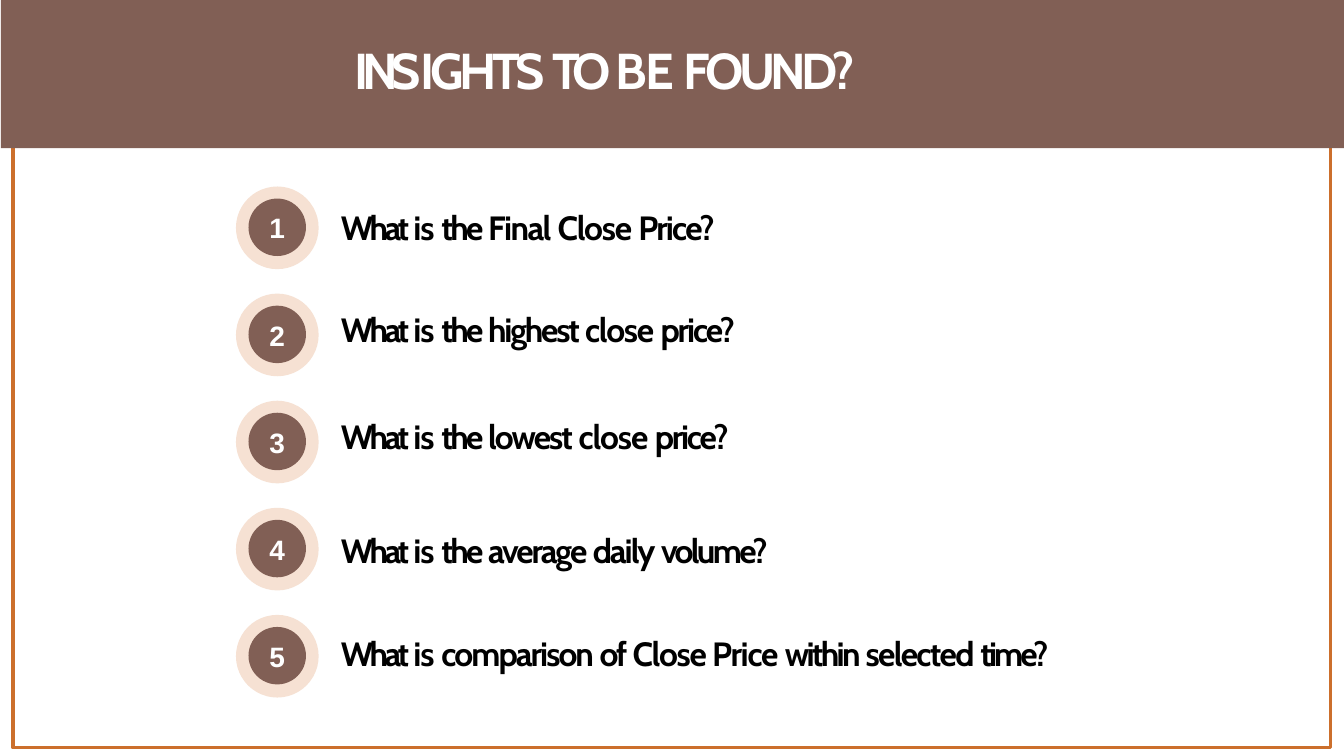
"""Build the slide that lists the five insights to be found."""
from pptx import Presentation
from pptx.dml.color import RGBColor
from pptx.enum.shapes import MSO_SHAPE as SHAPE
from pptx.enum.text import MSO_ANCHOR as ANCHOR, MSO_AUTO_SIZE as FIT, PP_ALIGN as ALIGN
from pptx.util import Inches, Pt
from lxml.etree import SubElement

THEME = {
    "brown": RGBColor.from_string("815F55"),
    "peach": RGBColor.from_string("F6E1D3"),
    "orange": RGBColor.from_string("CC6F2C"),
    "title": {"name": "Cabin", "size": Pt(36), "bold": True, "color": RGBColor(255, 255, 255)},
    "question": {"name": "Cabin", "size": Pt(24), "bold": True, "color": RGBColor(0, 0, 0)},
    "number": {"name": "Arial", "size": Pt(20), "bold": True, "color": RGBColor(255, 255, 255)},
}
FRAME_FORMAT = {"margin_left": 0, "margin_right": 0, "margin_top": Inches(0.01),
                "margin_bottom": 0, "word_wrap": True, "auto_size": FIT.NONE}

TITLE = [("INS", -4.9), ("IGHTS ", -3.1), ("TO ", -4.9), ("BE ", -1.1), ("FOUND?", -3.3)]
WHAT_IS = [("What ", -2.5), ("is ", -0.6)]
WHAT_IS_THE = WHAT_IS + [("the ", -1.95)]
QUESTIONS = [
    (1, WHAT_IS_THE + [("Final ", -1.1), ("Close ", -0.9), ("Price?", -1.3)]),
    (44.2, WHAT_IS_THE + [("highest ", -1.6), ("close ", -0.9), ("price?", -1.5)]),
    (47.8, WHAT_IS_THE + [("lowest ", -1.4), ("close ", -0.8), ("price?", -1.6)]),
    (52.2, WHAT_IS_THE + [("average ", -1.5), ("daily ", -1.45), ("volume?", -1.9)]),
    (45, WHAT_IS + [("comparison ", -1.4), ("of ", -1.7), ("Close Price ", -0.9),
                    ("within ", -1.9), ("selected ", -1.2), ("time?", -2.1)]),
]


def add_filled(kind, left, top, width, height, fill):
    s = slide.shapes.add_shape(kind, Inches(left), Inches(top), Inches(width), Inches(height))
    s.shadow.inherit = False
    s.line.fill.background()
    if fill is None:
        s.fill.background()
    else:
        s.fill.solid()
        s.fill.fore_color.rgb = fill
    return s


def add_text(p, pieces, style, before=0):
    p.space_before, p.line_spacing = Pt(before), 1.0
    for text, spacing in pieces:
        r = p.add_run()
        r.text = text
        for key in ("name", "size", "bold"):
            setattr(r.font, key, THEME[style][key])
        r.font.color.rgb = THEME[style]["color"]
        if spacing:
            r.font._element.set("spc", str(round(spacing * 100)))


prs = Presentation()
prs.slide_width, prs.slide_height = Inches(13.33), Inches(7.5)
slide = prs.slides.add_slide(prs.slide_layouts[1])
title, body = slide.placeholders

frame = add_filled(SHAPE.RECTANGLE, 0.13, 0.09, 13.07, 7.33, None)
frame.line.color.rgb = THEME["orange"]
frame.line.width = Pt(2.28)
add_filled(SHAPE.RECTANGLE, 0.01, 0, 13.32, 1.47, THEME["brown"])

for i in range(len(QUESTIONS)):
    top = 1.85 + 1.0625 * i
    add_filled(SHAPE.OVAL, 2.34, top, 0.82, 0.82, THEME["peach"])
    badge = add_filled(SHAPE.OVAL, 2.465, top + 0.12, 0.57, 0.57, THEME["brown"])
    tf = badge.text_frame
    for key, value in FRAME_FORMAT.items():
        setattr(tf, key, value)
    tf.vertical_anchor = ANCHOR.MIDDLE
    tf.paragraphs[0].alignment = ALIGN.CENTER
    add_text(tf.paragraphs[0], [(str(i + 1), 0)], "number")

for sp, box in ((title, (3.51, 0.38, 5.58, 0.63)), (body, (3.37, 2.04, 8.4, 4.7))):
    sp.left, sp.top, sp.width, sp.height = map(Inches, box)
    for key, value in FRAME_FORMAT.items():
        setattr(sp.text_frame, key, value)
    sp.text_frame.vertical_anchor = ANCHOR.TOP
    slide.shapes.element.append(sp.element)

p = title.text_frame.paragraphs[0]
p.alignment = ALIGN.LEFT
add_text(p, TITLE, "title", 1)
p.runs[0].font._element.getparent().getparent().get_or_add_pPr().set("marL", str(Inches(0.01)))

tf = body.text_frame
for i, (before, pieces) in enumerate(QUESTIONS):
    p = tf.add_paragraph() if i else tf.paragraphs[0]
    add_text(p, pieces, "question", before)
    pPr = p._p.get_or_add_pPr()
    pPr.set("marL", str(Inches(0.01)))
    pPr.set("indent", "0")
    SubElement(pPr, "{http://schemas.openxmlformats.org/drawingml/2006/main}buNone")

prs.save("out.pptx")
